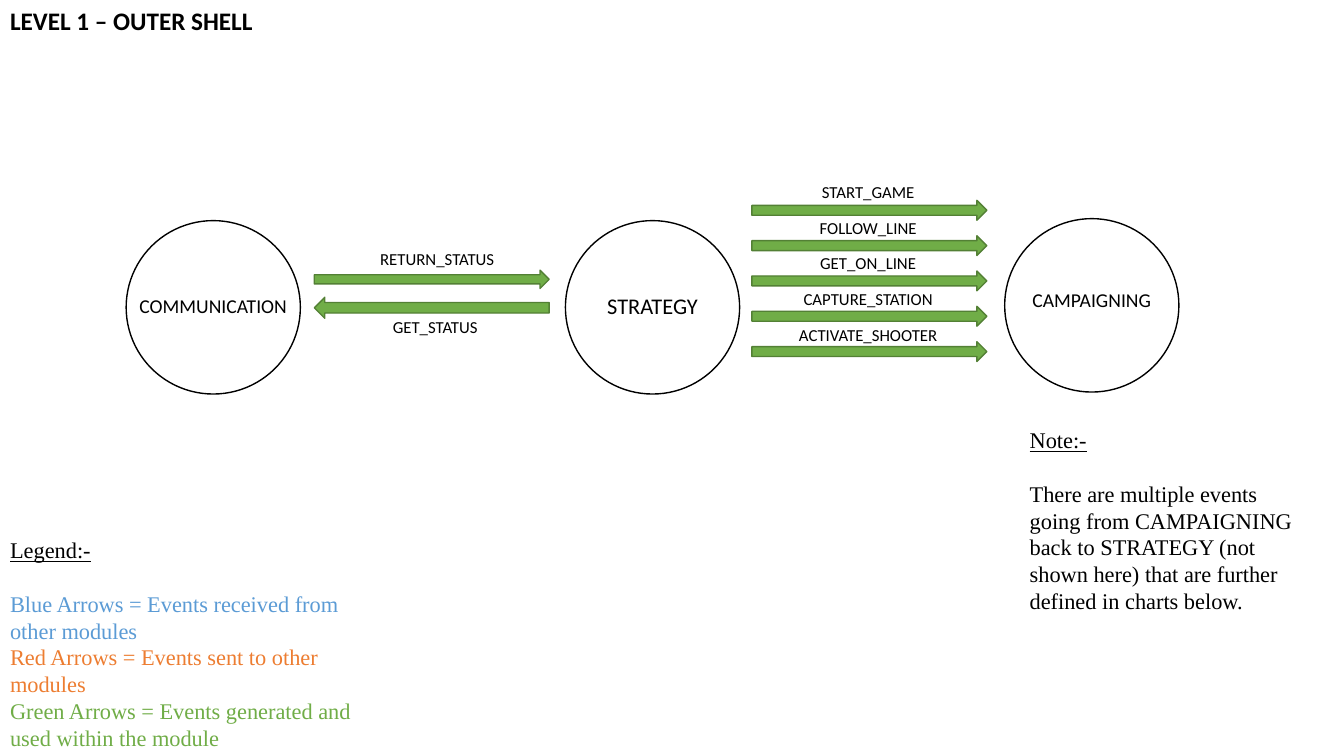
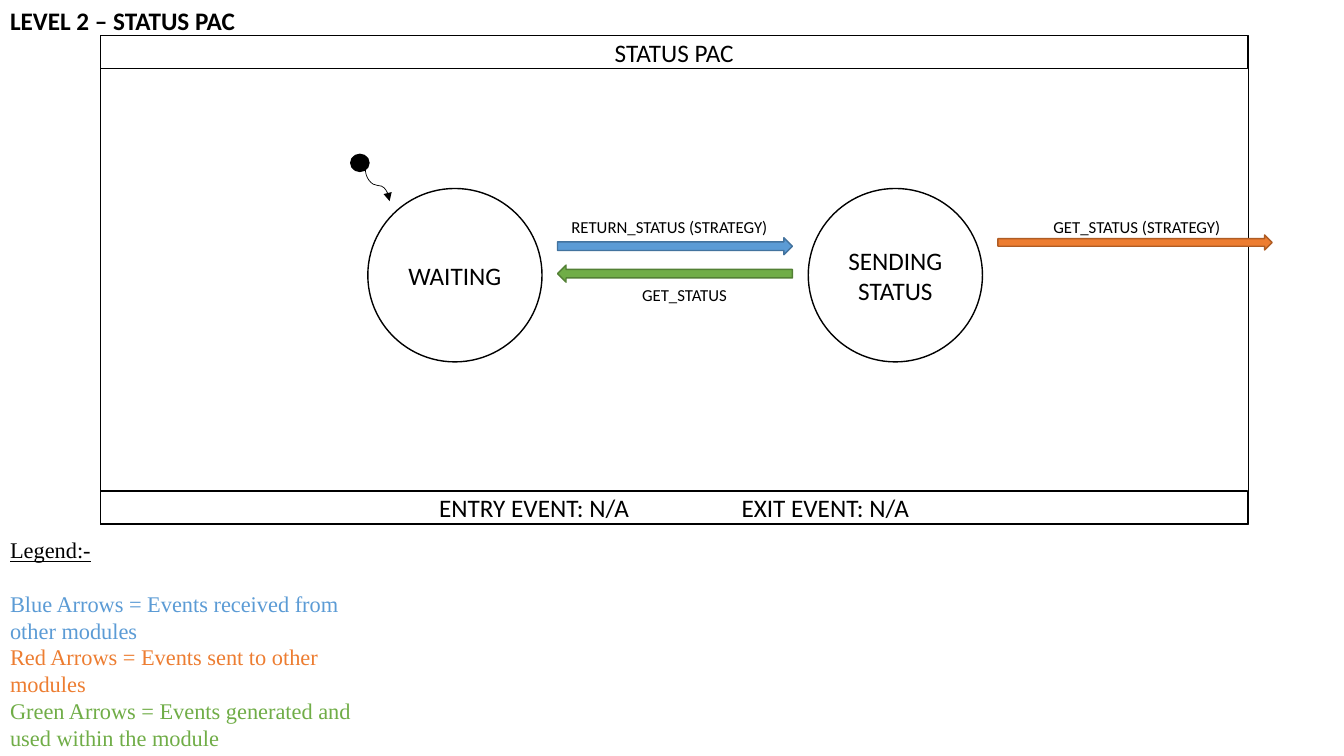
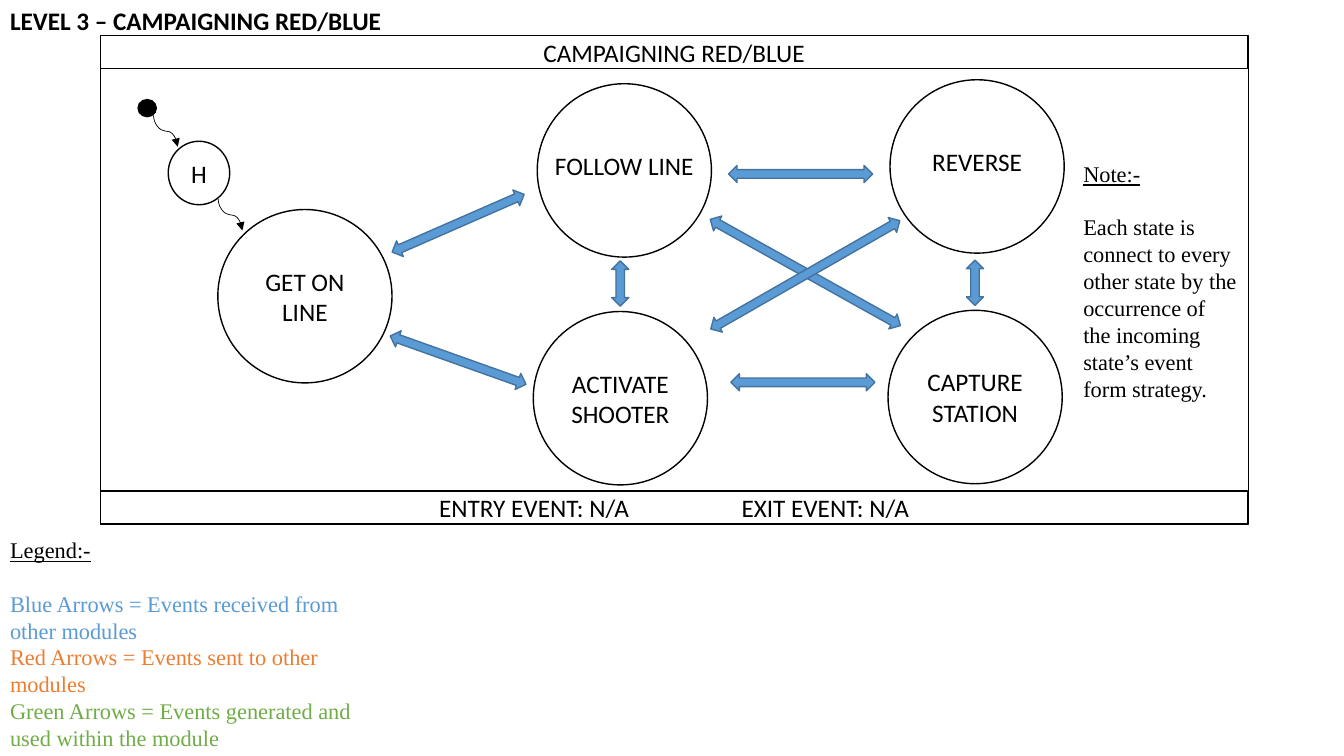
from dataclasses import dataclass
from pptx import Presentation
from pptx.dml.color import RGBColor
from pptx.enum.shapes import MSO_CONNECTOR, MSO_SHAPE
from pptx.enum.text import MSO_ANCHOR, MSO_AUTO_SIZE, PP_ALIGN
from pptx.oxml.ns import qn
from pptx.util import Cm, Pt

OVAL, RECT = MSO_SHAPE.OVAL, MSO_SHAPE.RECTANGLE
RIGHT, BOTH = MSO_SHAPE.RIGHT_ARROW, MSO_SHAPE.LEFT_RIGHT_ARROW
CURVE = MSO_CONNECTOR.CURVE
TOP, MIDDLE = MSO_ANCHOR.TOP, MSO_ANCHOR.MIDDLE
LEFT, CENTER = PP_ALIGN.LEFT, PP_ALIGN.CENTER


@dataclass
class Theme:
    sans: str = "Calibri"
    serif: str = "Times New Roman"
    black: str = "000000"
    white: str = "FFFFFF"
    blue: str = "5B9BD5"
    navy: str = "43739E"
    red: str = "ED7D31"
    rust: str = "AF5C24"
    green: str = "70AD47"
    moss: str = "538035"
    head: int = 18
    note: int = 16
    small: int = 14
    tiny: int = 12


T = Theme()
BLUE, RED, GREEN = (T.blue, T.navy), (T.red, T.rust), (T.green, T.moss)


def write(shape, lines, size, font=T.sans, align=CENTER, anchor=TOP):
    """Fill a shape with (text, colour) lines."""
    frame = shape.text_frame
    frame.auto_size = MSO_AUTO_SIZE.NONE
    frame.word_wrap = True
    frame.vertical_anchor = anchor
    for i, (text, color) in enumerate(lines):
        para = frame.paragraphs[0] if i == 0 else frame.add_paragraph()
        para.text = text
        para.alignment = align
        para.space_before = para.space_after = Pt(0)
        para.font.name = font
        para.font.size = Pt(size)
        para.font.color.rgb = RGBColor.from_string(color)
    return frame


def draw(slide, kind, box, fill, edge, turn=0):
    """Add a preset shape with a thin outline."""
    shape = slide.shapes.add_shape(kind, *[Cm(v) for v in box])
    shape.shadow.inherit = False
    shape.rotation = turn
    if fill:
        shape.fill.solid()
        shape.fill.fore_color.rgb = RGBColor.from_string(fill)
    else:
        shape.fill.background()
    shape.line.color.rgb = RGBColor.from_string(edge)
    shape.line.width = Pt(1)
    return shape


deck = Presentation()
deck.slide_width, deck.slide_height = Cm(33.87), Cm(19.05)

# Shared parts: title, legend and frame
heads = [
    ("LEVEL 1 – OUTER SHELL", ""),
    ("LEVEL 2 – STATUS PAC", "STATUS PAC"),
    ("LEVEL 3 – CAMPAIGNING RED/BLUE", "CAMPAIGNING RED/BLUE"),
]
legend = [
    ("Legend:-", T.black),
    ("Blue Arrows = Events received from other modules", T.blue),
    ("Red Arrows = Events sent to other modules", T.red),
    ("Green Arrows = Events generated and used within the module", T.green),
]
for head, name in heads:
    slide = deck.slides.add_slide(deck.slide_layouts[1])
    title, body = slide.shapes.title, slide.placeholders[1]
    title.left, title.top, title.width, title.height = Cm(0), Cm(0), Cm(13), Cm(1.02)
    frame = write(title, [(head, T.black)], T.head, align=LEFT)
    frame.paragraphs[0].font.bold = True

    body.left, body.top, body.width, body.height = Cm(0), Cm(13.39), Cm(9.96), Cm(5.65)
    frame = write(body, legend, T.note, T.serif, LEFT)
    for para in frame.paragraphs:
        props = para._p.get_or_add_pPr()
        props.set("marL", "0")
        props.set("indent", "0")
        props.append(props.makeelement(qn("a:buNone"), {}))
    frame.paragraphs[0].font.underline = True
    frame.paragraphs[0].space_after = Pt(19)

    if name:
        draw(slide, RECT, (2.54, 0.89, 28.93, 12.32), None, T.black)
        for y, text in [(0.89, name), (12.37, "ENTRY EVENT: N/A\t\tEXIT EVENT: N/A")]:
            bar = draw(slide, RECT, (2.54, y, 28.9, 0.84), T.white, T.black)
            frame = write(bar, [(text, T.black)], T.head, anchor=MIDDLE)
            frame.paragraphs[0]._p.get_or_add_pPr().set("defTabSz", "914400")

outer, status, camp = deck.slides

# States: slide, left, top, text, size, wrapped, lift of the text
states = [
    (outer, 3.18, 5.56, "COMMUNICATION", T.small, False, 0.1),
    (outer, 14.25, 5.56, "STRATEGY", T.note, False, 0.1),
    (outer, 25.32, 5.51, "CAMPAIGNING", T.small, False, 0.3),
    (status, 9.27, 4.75, "WAITING", T.head, False, 0),
    (status, 20.37, 4.75, "SENDING STATUS", T.head, True, 0),
    (camp, 5.49, 5.28, "GET ON LINE", T.head, True, 0),
    (camp, 13.54, 2.11, "FOLLOW LINE", T.head, False, 0.25),
    (camp, 13.44, 7.85, "ACTIVATE SHOOTER", T.head, True, 0),
    (camp, 22.43, 2.01, "REVERSE", T.head, False, 0.25),
    (camp, 22.38, 7.82, "CAPTURE STATION", T.head, True, 0),
    (camp, 4.24, 3.56, "H", T.head, False, 0),
]
for slide, x, y, text, size, wrap, lift in states:
    box = (x, y, 1.55, 1.6) if text == "H" else (x, y, 4.39, 4.37)
    oval = draw(slide, OVAL, box, T.white, T.black)
    frame = write(oval, [(text, T.black)], size, anchor=MIDDLE)
    frame.word_wrap = wrap
    frame.margin_left = frame.margin_right = frame.margin_top = Cm(0)
    frame.margin_bottom = Cm(lift)

# Start dots and curved pointers
for slide, x, y in [(status, 8.84, 3.89), (camp, 3.48, 2.51)]:
    draw(slide, OVAL, (x, y, 0.46, 0.43), T.black, T.black)
for slide, x, y in [(status, 9.12, 4.37), (camp, 3.78, 3), (camp, 5.41, 5.11)]:
    hook = slide.shapes.add_connector(CURVE, Cm(x), Cm(y), Cm(x + 0.79), Cm(y + 0.61))
    hook.line.width = Pt(0.5)
    hook.line.color.rgb = RGBColor.from_string(T.black)
    props = hook._element.spPr
    frame = props.find(qn("a:xfrm"))
    frame.set("rot", "16200000")
    frame.set("flipH", "1")
    line = props.find(qn("a:ln"))
    line.append(line.makeelement(qn("a:tailEnd"), {"type": "triangle"}))
    props.append(props.makeelement(qn("a:effectLst"), {}))

# One-way arrows: slide, box, colours, turn
arrows = [
    (outer, (7.92, 6.81, 5.92, 0.46), GREEN, 0),
    (outer, (7.92, 7.49, 5.92, 0.53), GREEN, 180),
    (status, (14.05, 5.99, 5.92, 0.43), BLUE, 0),
    (status, (14.05, 6.68, 5.92, 0.43), GREEN, 180),
    (status, (25.15, 5.92, 6.91, 0.38), RED, 0),
]
# Event names: slide, centre, top, text
labels = [
    (outer, 11.02, 6.15, "RETURN_STATUS"),
    (outer, 10.97, 7.85, "GET_STATUS"),
    (status, 16.87, 5.33, "RETURN_STATUS (STRATEGY)"),
    (status, 17.25, 7.06, "GET_STATUS"),
    (status, 28.65, 5.33, "GET_STATUS (STRATEGY)"),
]
events = ["START_GAME", "FOLLOW_LINE", "GET_ON_LINE", "CAPTURE_STATION", "ACTIVATE_SHOOTER"]
for i, event in enumerate(events):
    arrows.append((outer, (18.95, 5.05 + 0.89 * i, 5.92, 0.5), GREEN, 0))
    labels.append((outer, 21.88, 4.45 + 0.9 * i, event))

for slide, box, (fill, edge), turn in arrows:
    draw(slide, RIGHT, box, fill, edge, turn)
for slide, mid, y, text in labels:
    label = slide.shapes.add_textbox(Cm(mid - 3), Cm(y), Cm(6), Cm(0.76))
    write(label, [(text, T.black)], T.tiny)

# Two-way arrows: left, top, length, turn
links = [
    (9.73, 5.41, 3.63, 156.4),
    (18.36, 4.17, 3.63, 0),
    (9.73, 8.86, 3.63, 199.6),
    (18.42, 9.42, 3.63, 0),
    (24, 6.91, 1.14, 90),
    (15.06, 6.93, 1.14, 90),
    (17.55, 6.65, 5.49, 209.2),
    (17.55, 6.71, 5.49, 330.2),
]
for x, y, size, turn in links:
    draw(camp, BOTH, (x, y, size, 0.43), *BLUE, turn)

# Notes
notes = [
    (outer, (25.7, 10.62, 7.62, 5.82),
     "There are multiple events going from CAMPAIGNING back to STRATEGY "
     "(not shown here) that are further defined in charts below."),
    (camp, (27.05, 3.91, 4.39, 7.19),
     "Each state is connect to every other state by the occurrence of "
     "the incoming state’s event form strategy."),
]
for slide, box, text in notes:
    note = slide.shapes.add_textbox(*[Cm(v) for v in box])
    frame = write(note, [("Note:-", T.black), (text, T.black)], T.note, T.serif, LEFT)
    frame.paragraphs[0].font.underline = True
    frame.paragraphs[0].space_after = Pt(19)

deck.save("out.pptx")
